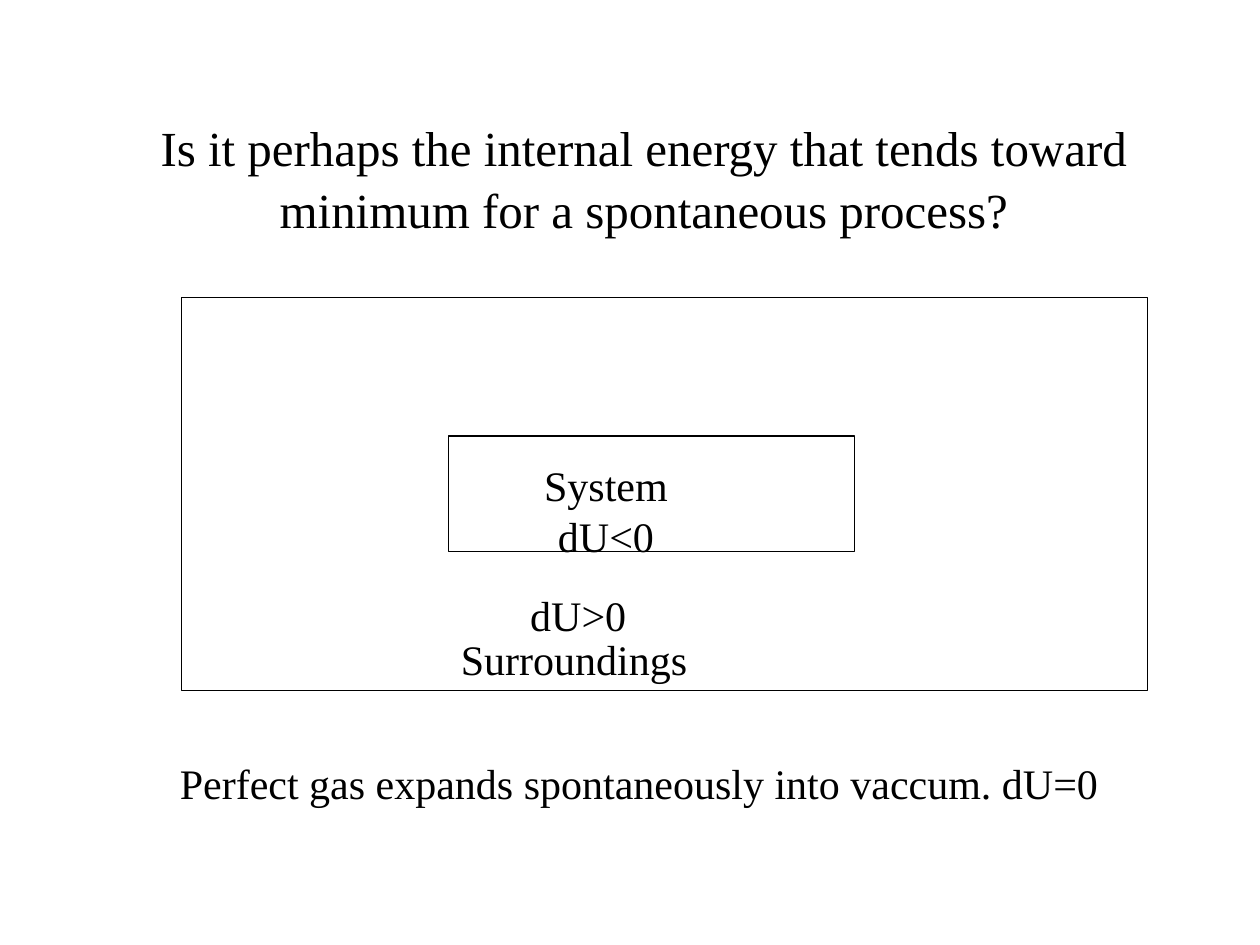
import pptx
import pptx.util
import pptx.dml.color
import pptx.enum.shapes
import pptx.enum.text

Inches, Pt = pptx.util.Inches, pptx.util.Pt
COLORS = {"ink": "000000", "paper": "FFFFFF"}
FONT = "Times New Roman"

TITLE = ("Is it perhaps the internal energy that tends toward minimum "
         "for a spontaneous process?")
TITLE_BOX = (1, 0.86, 8.22, 1.04)
FRAMES = [
    (1.44, 2.36, 7.67, 3.12),  # surroundings
    (3.56, 3.46, 3.22, 0.92),  # system
]
LABELS = [  # text, left, top, width
    ("System", 4.22, 3.58, 2),
    ("Surroundings", 3.56, 4.96, 3.56),
    ("dU<0", 4.33, 3.98, 1.56),
    ("dU>0", 4.11, 4.61, 1.56),
    ("Perfect gas expands spontaneously into vaccum. dU=0", 1.33, 5.94, 7.67),
]
LABEL_HIGH = 0.5


def color(name):
    return pptx.dml.color.RGBColor.from_string(COLORS[name])


def write(shape, text, size, align):
    frame = shape.text_frame
    frame.text = text
    frame.word_wrap = True
    frame.auto_size = pptx.enum.text.MSO_AUTO_SIZE.SHAPE_TO_FIT_TEXT
    frame.vertical_anchor = pptx.enum.text.MSO_ANCHOR.TOP
    para = frame.paragraphs[0]
    para.alignment = align
    para.space_before = Pt(size * 0.625)
    para.line_spacing = 1.05
    font = para.runs[0].font
    font.name, font.size = FONT, Pt(size)
    font.color.rgb = color("ink")


def add_frame(slide, box):
    rect = slide.shapes.add_shape(
        pptx.enum.shapes.MSO_SHAPE.RECTANGLE, *map(Inches, box))
    rect.shadow.inherit = False
    rect.fill.solid()
    rect.fill.fore_color.rgb = color("paper")
    rect.line.color.rgb = color("ink")
    rect.line.width = Pt(0.75)


def main():
    deck = pptx.Presentation()
    deck.slide_width, deck.slide_height = Inches(10), Inches(7.5)
    slide = deck.slides.add_slide(deck.slide_layouts[5])
    align = pptx.enum.text.PP_ALIGN

    title = slide.shapes.title
    title.left, title.top, title.width, title.height = map(Inches, TITLE_BOX)
    write(title, TITLE, 28, align.CENTER)

    for box in FRAMES:
        add_frame(slide, box)
    for text, left, top, width in LABELS:
        label = slide.shapes.add_textbox(
            *map(Inches, (left, top, width, LABEL_HIGH)))
        write(label, text, 24, align.LEFT)

    deck.save("out.pptx")


if __name__ == "__main__":
    main()
